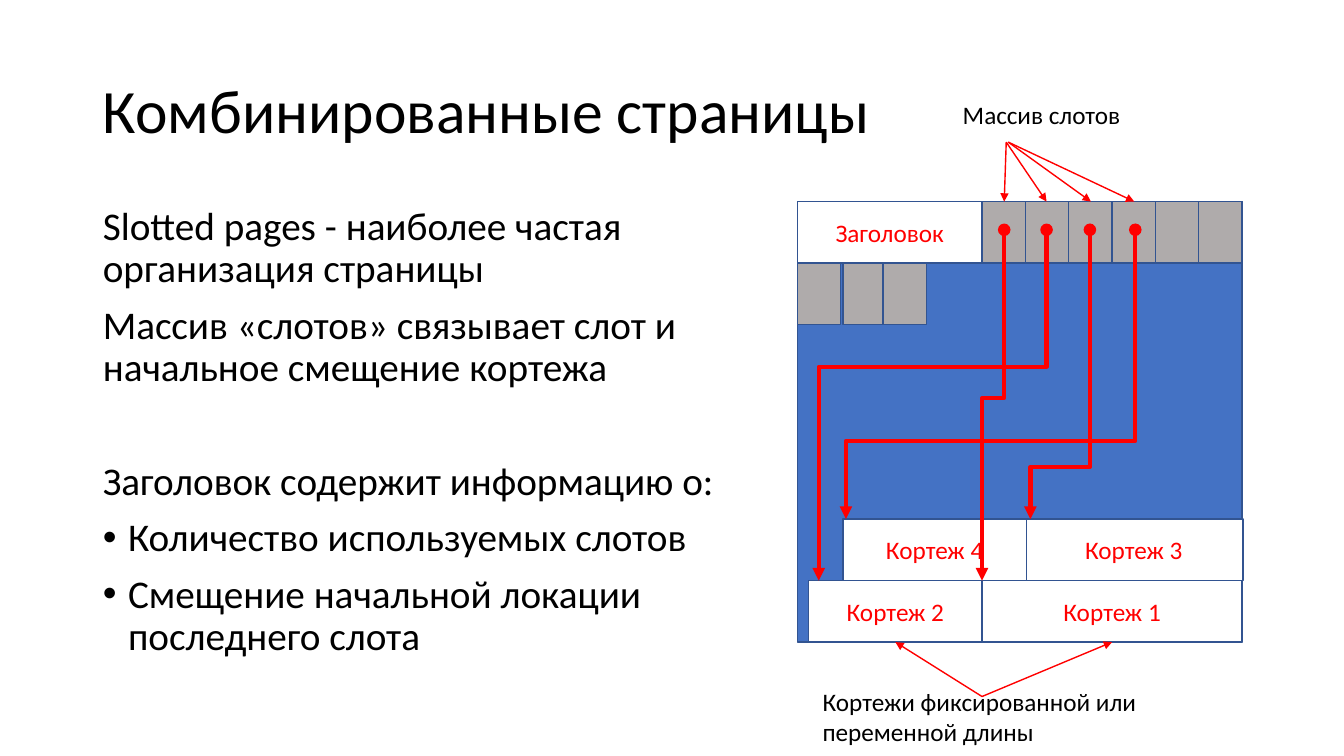
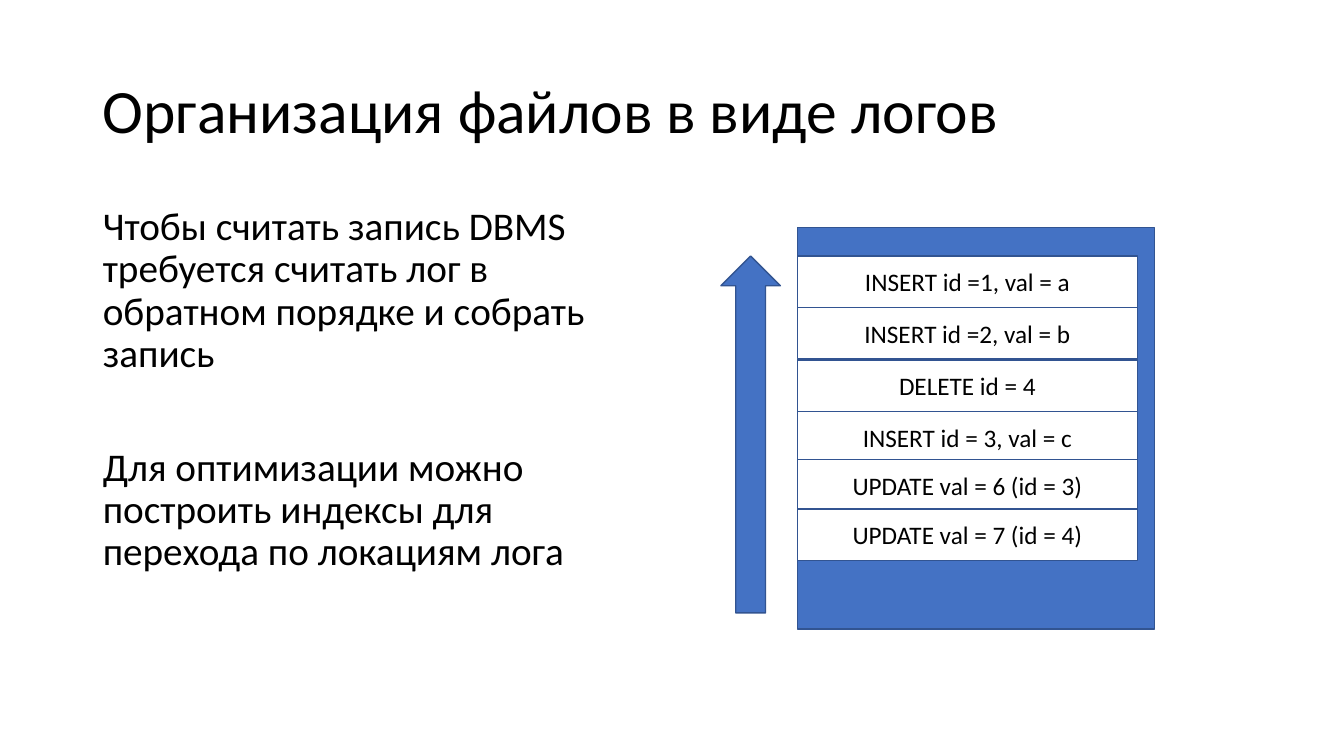
from pptx import Presentation
from pptx.dml.color import RGBColor
from pptx.enum.shapes import MSO_CONNECTOR as Route, MSO_SHAPE as Shape
from pptx.enum.text import MSO_ANCHOR as Anchor, MSO_AUTO_SIZE as AutoSize, PP_ALIGN as Align
from pptx.oxml.ns import qn
from pptx.util import Inches, Pt
from lxml.etree import SubElement

COLORS = {
    "page": "4472C4",
    "edge": "325491",
    "record": "FFFFFF",
    "slot": "AFABAB",
    "accent": "FF0000",
    "text": "000000",
}
FONT = "Calibri"
PAGE_LEFT = 7.91
ROW = 0.61
SLOT = 0.43
GAP = 51

topics = [
    ("Комбинированные страницы", 6.56, [
        ("Slotted pages - наиболее частая организация страницы", 10, False),
        ("Массив «слотов» связывает слот и начальное смещение кортежа", 10, False),
        ("Заголовок содержит информацию о:", GAP, False),
        ("Количество используемых слотов", 10, True),
        ("Смещение начальной локации последнего слота", 10, True),
    ]),
    ("Организация файлов в виде логов", 5.34, [
        ("Чтобы считать запись DBMS требуется считать лог в обратном порядке и собрать запись", 10, False),
        ("Для оптимизации можно построить индексы для перехода по локациям лога", GAP, False),
    ]),
]


def add_block(slide, left, top, width, height, fill, text="", color="accent", kind=Shape.RECTANGLE):
    block = slide.shapes.add_shape(kind, Inches(left), Inches(top), Inches(width), Inches(height))
    block.shadow.inherit = False
    block.fill.solid()
    block.fill.fore_color.rgb = RGBColor.from_string(COLORS[fill])
    block.line.color.rgb = RGBColor.from_string(COLORS["edge"])
    block.line.width = Pt(1)
    if text:
        block.text_frame.text = text
        block.text_frame.vertical_anchor = Anchor.MIDDLE
        paragraph = block.text_frame.paragraphs[0]
        paragraph.alignment = Align.CENTER
        paragraph.font.name = FONT
        paragraph.font.size = Pt(18)
        paragraph.font.color.rgb = RGBColor.from_string(COLORS[color])


def add_arrow(slide, x1, y1, x2, y2, width=1, bend=None):
    kind = Route.STRAIGHT
    if bend is not None:
        kind = Route.ELBOW
        mid_x, mid_y = (x1 + x2) / 2, (y1 + y2) / 2
        half_run, half_rise = (y2 - y1) / 2, (x1 - x2) / 2
        x1, x2 = mid_x - half_run, mid_x + half_run
        y1, y2 = mid_y - half_rise, mid_y + half_rise
    arrow = slide.shapes.add_connector(kind, Inches(x1), Inches(y1), Inches(x2), Inches(y2))
    arrow.line.color.rgb = RGBColor.from_string(COLORS["accent"])
    arrow.line.width = Pt(width)
    properties = arrow._element.spPr
    stroke = properties.find(qn("a:ln"))
    if bend is not None:
        properties.find(qn("a:xfrm")).set("rot", "5400000")
        adjustments = properties.find(qn("a:prstGeom")).find(qn("a:avLst"))
        SubElement(adjustments, qn("a:gd"), name="adj1", fmla=f"val {round(bend * 100000)}")
        SubElement(stroke, qn("a:headEnd"), type="oval")
    SubElement(stroke, qn("a:tailEnd"), type="triangle")
    SubElement(properties, qn("a:effectLst"))


deck = Presentation()
deck.slide_width = Inches(13.33)
deck.slide_height = Inches(7.5)

for heading, body_width, points in topics:
    slide = deck.slides.add_slide(deck.slide_layouts[1])
    title, body = slide.shapes.title, slide.placeholders[1]
    title.left, title.top, title.width, title.height = map(Inches, (0.92, 0.4, 11.5, 1.45))
    body.left, body.top, body.width, body.height = map(Inches, (0.92, 2, body_width, 4.76))
    title.text_frame.text = heading
    title.text_frame.vertical_anchor = Anchor.MIDDLE
    body.text_frame.text = "\n".join(text for text, _, _ in points)
    for frame, size in ((title.text_frame, 44), (body.text_frame, 28)):
        frame.auto_size = AutoSize.NONE
        for paragraph in frame.paragraphs:
            paragraph.alignment = Align.LEFT
            paragraph.line_spacing = 0.9
            paragraph.font.name = FONT
            paragraph.font.size = Pt(size)
            paragraph.font.color.rgb = RGBColor.from_string(COLORS["text"])
    for paragraph, (_, space, bulleted) in zip(body.text_frame.paragraphs, points):
        paragraph.space_before = Pt(space)
        layout = paragraph._p.get_or_add_pPr()
        indent = Inches(0.25) if bulleted else 0
        layout.set("marL", str(indent))
        layout.set("indent", str(-indent))
        bullet = layout.makeelement(qn("a:buChar" if bulleted else "a:buNone"))
        if bulleted:
            bullet.set("char", "•")
        layout.find(qn("a:defRPr")).addprevious(bullet)

slotted, log = deck.slides

add_block(slotted, PAGE_LEFT, 2, 4.41, 4.37, "page")
add_block(slotted, PAGE_LEFT, 2, 1.83, ROW, "record", "Заголовок")
for column in range(6):
    add_block(slotted, 9.74 + column * SLOT, 2, SLOT, ROW, "slot")
for left in (PAGE_LEFT, 8.36, 8.76):
    add_block(slotted, left, 2 + ROW, SLOT, ROW, "slot")

tuples = [(9.74, 5.76, 2.58), (8.02, 5.76, 1.72), (10.16, 5.15, 2.17), (8.36, 5.15, 1.82)]
for number, (left, top, width) in enumerate(tuples, 1):
    add_block(slotted, left, top, width, ROW, "record", f"Кортеж {number}")

for start, slot_x in ((9.98, 9.96), (9.98, 10.38), (10, 10.82), (10, 11.25)):
    add_arrow(slotted, start, 1.41, slot_x, 2)
for tuple_x in (8.88, 11.03):
    add_arrow(slotted, 9.74, 6.91, tuple_x, 6.37)

captions = [
    (9.45, 0.94, 1.78, 0.4, "Массив слотов"),
    (8.06, 6.76, 3.41, 0.71, "Кортежи фиксированной или\nпеременной длины"),
]
for left, top, width, height, text in captions:
    caption = slotted.shapes.add_textbox(Inches(left), Inches(top), Inches(width), Inches(height))
    caption.text_frame.text = text
    caption.text_frame.word_wrap = False
    caption.text_frame.auto_size = AutoSize.SHAPE_TO_FIT_TEXT
    for paragraph in caption.text_frame.paragraphs:
        paragraph.font.name = FONT
        paragraph.font.size = Pt(18)
        paragraph.font.color.rgb = RGBColor.from_string(COLORS["text"])

pointers = [
    (9.96, 9.74, 5.76, 0.48),
    (10.38, 8.12, 5.76, 0.39),
    (10.81, 10.22, 5.15, 0.82),
    (11.26, 8.39, 5.15, 0.73),
]
for slot_x, tuple_x, tuple_top, bend in pointers:
    add_arrow(slotted, slot_x, 2.28, tuple_x, tuple_top, 3, bend)

add_block(log, PAGE_LEFT, 2.26, 3.54, 3.98, "page")
entries = [
    (2.54, "INSERT id =1, val = a"),
    (3.05, "INSERT id =2, val = b"),
    (3.57, "DELETE id = 4"),
    (4.08, "INSERT id = 3, val = c"),
    (4.56, "UPDATE val = 6 (id = 3)"),
    (5.05, "UPDATE val = 7 (id = 4)"),
]
for top, entry in entries:
    add_block(log, PAGE_LEFT, top, 3.37, 0.51, "record", entry, "text")
add_block(log, 7.15, 2.54, 0.59, 3.54, "page", kind=Shape.UP_ARROW)

deck.save("out.pptx")
